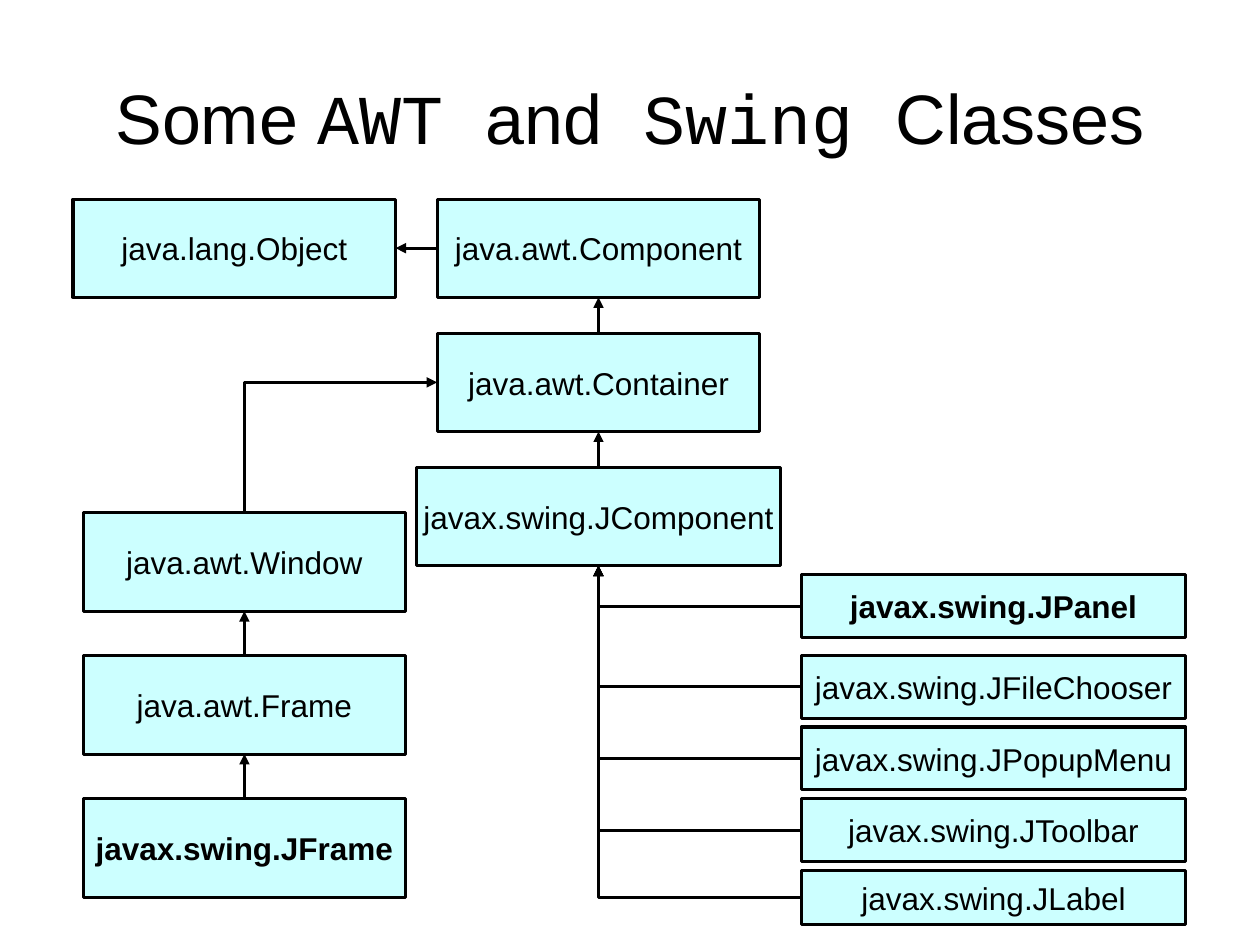
"""Build a slide with a class diagram of AWT and Swing."""
import dataclasses

import pptx
import pptx.dml.color
import pptx.enum.shapes
import pptx.enum.text
import pptx.oxml
import pptx.oxml.ns
import pptx.util


@dataclasses.dataclass(frozen=True)
class Theme:
    ink: str = "000000"
    fill: str = "CCFFFF"
    sans: str = "Arial"
    mono: str = "Courier New"
    title_size: int = 40
    label_size: int = 18
    line_width: float = 1.75


THEME = Theme()
SLIDE_WIDTH, SLIDE_HEIGHT = 10, 7.5
TITLE_AREA = (0.5, 0.3, 9, 1.25)
TITLE = [
    ("Some ", THEME.sans),
    ("AWT ", THEME.mono),
    ("and", THEME.sans),
    (" Swing ", THEME.mono),
    ("Classes", THEME.sans),
]
KEY_CLASSES = {"javax.swing.JFrame", "javax.swing.JPanel"}
WIDE, SHORT = {"javax.swing.JComponent": 2.89}, {"javax.swing.JLabel": 0.43}

# center, width, first top, row pitch, box height, class names
COLUMNS = [
    (1.86, 2.56, 1.58, 0, 0.78, ["java.lang.Object"]),
    (4.75, 2.56, 1.58, 1.065, 0.78,
     ["java.awt.Component", "java.awt.Container", "javax.swing.JComponent"]),
    (1.94, 2.56, 4.07, 1.135, 0.78,
     ["java.awt.Window", "java.awt.Frame", "javax.swing.JFrame"]),
    (7.885, 3.05, 4.56, 0, 0.5, ["javax.swing.JPanel"]),
    (7.885, 3.05, 5.2, 0.57, 0.5,
     ["javax.swing.JFileChooser", "javax.swing.JPopupMenu",
      "javax.swing.JToolbar", "javax.swing.JLabel"]),
]
UPWARD = [
    ("java.awt.Container", "java.awt.Component"),
    ("javax.swing.JComponent", "java.awt.Container"),
    ("java.awt.Frame", "java.awt.Window"),
    ("javax.swing.JFrame", "java.awt.Frame"),
]
COMPONENTS = [name for column in COLUMNS[3:] for name in column[-1]]


def inches(*values):
    return [pptx.util.Inches(value) for value in values]


def color(code):
    return pptx.dml.color.RGBColor.from_string(code)


def write(shape, spans, size, bold=False, wrap=False):
    frame = shape.text_frame
    frame.word_wrap = wrap
    frame.vertical_anchor = pptx.enum.text.MSO_ANCHOR.MIDDLE
    para = frame.paragraphs[0]
    para.alignment = pptx.enum.text.PP_ALIGN.CENTER
    for text, font in spans:
        span = para.add_run()
        span.text = text
        span.font.name = font
        span.font.size = pptx.util.Pt(size)
        span.font.bold = bold
        span.font.color.rgb = color(THEME.ink)


def outline(shape):
    shape.line.color.rgb = color(THEME.ink)
    shape.line.width = pptx.util.Pt(THEME.line_width)


def add_class(page, name, left, top, width, height):
    box = page.shapes.add_shape(
        pptx.enum.shapes.MSO_SHAPE.RECTANGLE, *inches(left, top, width, height))
    box.shadow.inherit = False
    box.fill.solid()
    box.fill.fore_color.rgb = color(THEME.fill)
    outline(box)
    write(box, [(name, THEME.sans)], THEME.label_size, name in KEY_CLASSES)


def add_arrow(page, begin, end, bent=False, arrow="tailEnd"):
    kinds = pptx.enum.shapes.MSO_CONNECTOR
    link = page.shapes.add_connector(
        kinds.ELBOW if bent else kinds.STRAIGHT, *inches(*begin, *end))
    outline(link)
    properties = link.element.spPr
    if bent:
        properties.find(pptx.oxml.ns.qn("a:prstGeom")).set("prst", "bentConnector2")
    space = pptx.oxml.ns.nsdecls("a")
    properties.find(pptx.oxml.ns.qn("a:ln")).append(
        pptx.oxml.parse_xml(f'<a:{arrow} {space} type="triangle"/>'))
    properties.append(pptx.oxml.parse_xml(f"<a:effectLst {space}/>"))


def side(area, across, down):
    left, top, width, height = area
    return left + width * across, top + height * down


def main():
    deck = pptx.Presentation()
    deck.slide_width, deck.slide_height = inches(SLIDE_WIDTH, SLIDE_HEIGHT)
    page = deck.slides.add_slide(deck.slide_layouts[6])
    title = page.shapes.add_textbox(*inches(*TITLE_AREA))
    write(title, TITLE, THEME.title_size, wrap=True)

    areas = {}
    for center, usual, first, pitch, height, names in COLUMNS:
        for row, name in enumerate(names):
            width = WIDE.get(name, usual)
            areas[name] = (center - width / 2, first + row * pitch,
                           width, SHORT.get(name, height))
            add_class(page, name, *areas[name])

    add_arrow(page, side(areas["java.awt.Component"], 0, 0.5),
              side(areas["java.lang.Object"], 1, 0.5))
    for child, parent in UPWARD:
        add_arrow(page, side(areas[child], 0.5, 0), side(areas[parent], 0.5, 1))
    add_arrow(page, side(areas["java.awt.Container"], 0, 0.5),
              side(areas["java.awt.Window"], 0.5, 0), True, "headEnd")
    for name in COMPONENTS:
        add_arrow(page, side(areas[name], 0, 0.5),
                  side(areas["javax.swing.JComponent"], 0.5, 1), True)
    deck.save("out.pptx")


if __name__ == "__main__":
    main()
